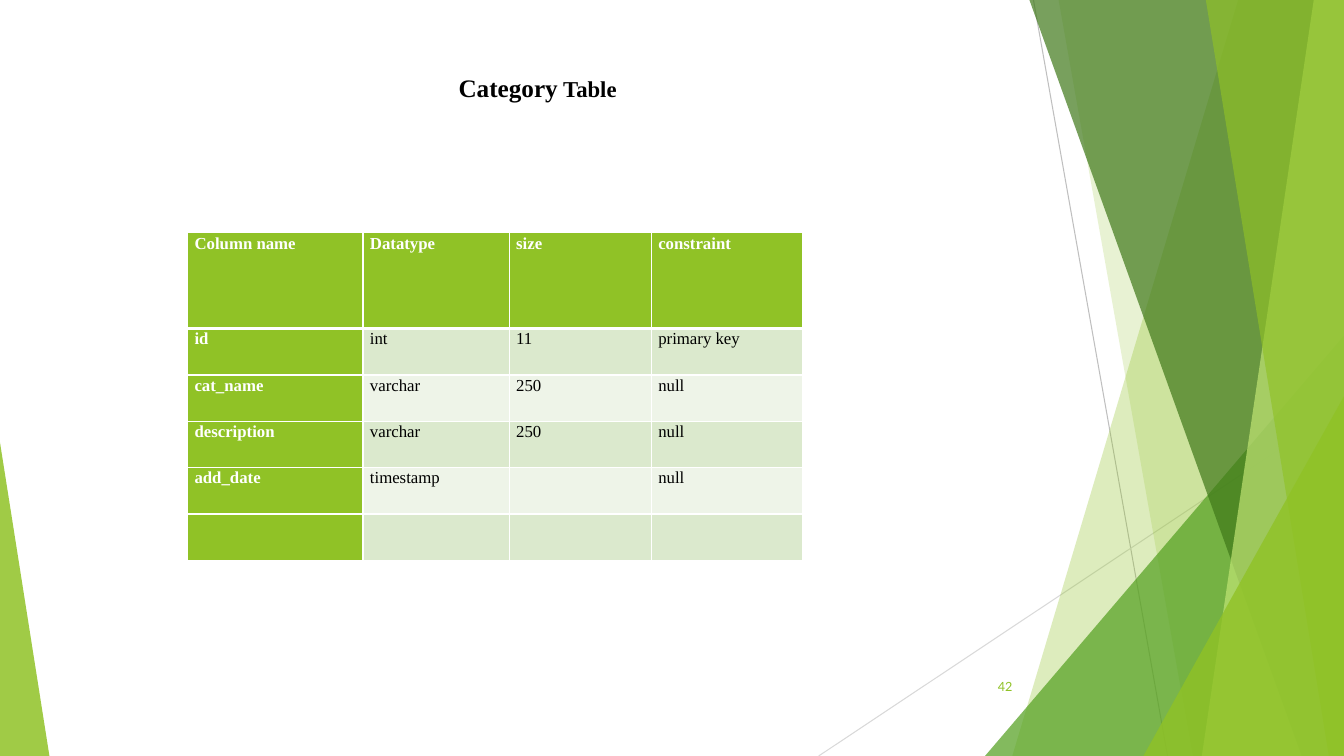
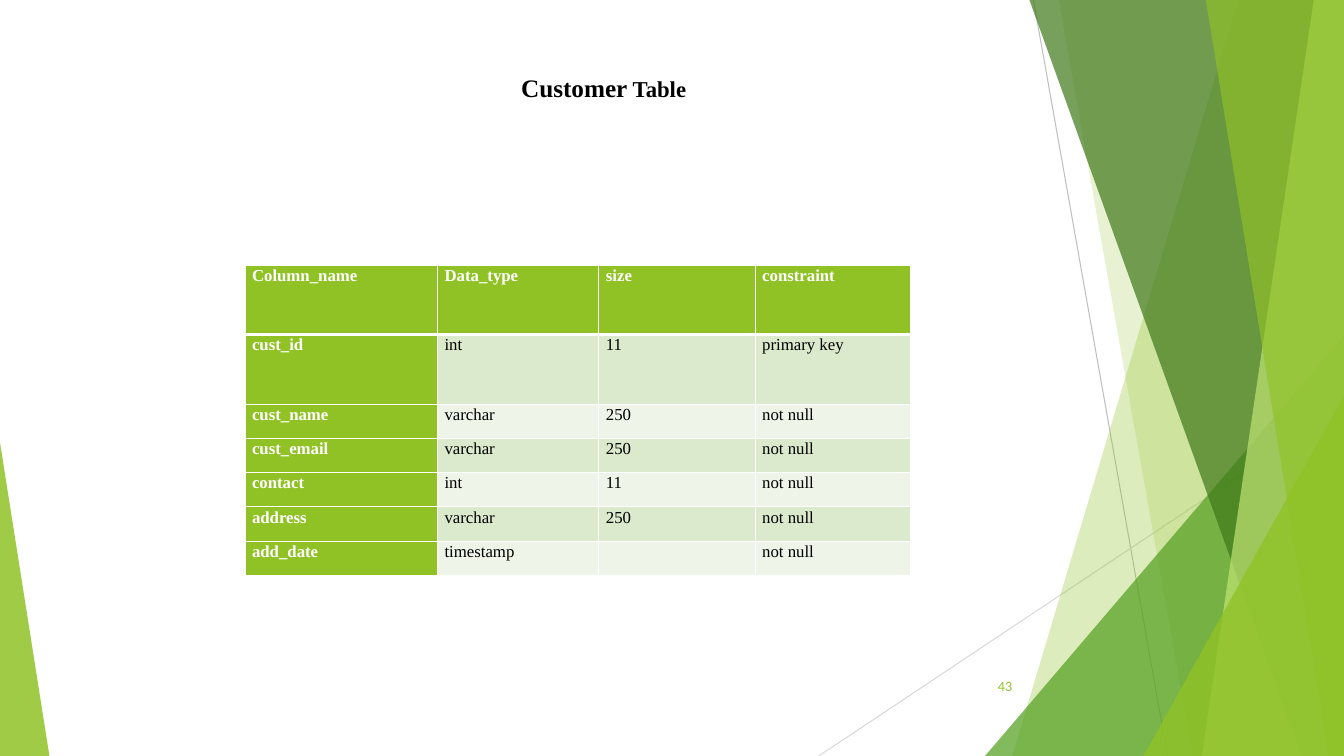
"""Build two database-table slides with a shared green faceted backdrop."""
from dataclasses import dataclass

from lxml.etree import SubElement
from pptx import Presentation
from pptx.dml.color import RGBColor
from pptx.enum.shapes import MSO_CONNECTOR, MSO_SHAPE
from pptx.enum.text import MSO_ANCHOR, PP_ALIGN
from pptx.oxml.ns import qn
from pptx.util import Inches, Pt


@dataclass(frozen=True)
class Theme:
    green: str = "90C226"
    mid_green: str = "54A021"
    dark_green: str = "3F7819"
    lime: str = "C0E474"
    row_tints: tuple = ("DBE9CD", "EEF4E8")
    white: str = "FFFFFF"
    black: str = "000000"
    serif: str = "Times New Roman"
    sans: str = "Lato"
    name_size: float = 18
    title_size: float = 16.2
    cell_size: float = 12
    number_size: float = 9
    border: float = 1
    header_border: float = 3


T = Theme()
WIDTH, HEIGHT = 13.33, 7.5

SLIDES = [
    {
        "name": "Category", "number": 42, "title_indent": 3.71,
        "at": (1.86, 2.31),
        "cols": (1.74, 1.45, 1.41, 1.5),
        "heights": (0.95, 0.46, 0.46, 0.46, 0.46, 0.46),
        "rows": [
            ("Column name", "Datatype", "size", "constraint"),
            ("id", "int", "11", "primary key"),
            ("cat_name", "varchar", "250", "null"),
            ("description", "varchar", "250", "null"),
            ("add_date", "timestamp", "", "null"),
            ("", "", "", ""),
        ],
    },
    {
        "name": "Customer", "number": 43, "title_indent": 4.33,
        "at": (2.43, 2.63),
        "cols": (1.91, 1.6, 1.55, 1.54),
        "heights": (0.69, 0.69, 0.34, 0.34, 0.34, 0.34, 0.34),
        "rows": [
            ("Column_name", "Data_type", "size", "constraint"),
            ("cust_id", "int", "11", "primary key"),
            ("cust_name", "varchar", "250", "not null"),
            ("cust_email", "varchar", "250", "not null"),
            ("contact", "int", "11", "not null"),
            ("address", "varchar", "250", "not null"),
            ("add_date", "timestamp", "", "not null"),
        ],
    },
]

RULES = [
    ((10.25, 0), (11.58, HEIGHT), "BFBFBF"),
    ((WIDTH, 4.03), (8.12, HEIGHT), "D9D9D9"),
]
FACETS = [
    ("band", (12.28, 10.04), T.green, 30),
    ("band", (10.5, 11.83), T.green, 20),
    ("triangle", (9.77, 3.33, 3.56, 1), T.mid_green, 72),
    ("band", (10.21, 12.91), T.dark_green, 70),
    ("band", (13.03, 11.92), T.lime, 70),
    ("band", (11.96, 13.18), T.green, 65),
    ("triangle", (11.34, 3.93, 1.99, 1), T.green, 80),
    ("triangle", (0, 4.39, 0.49, 0), T.green, 85),
]


def rgb(color):
    return RGBColor.from_string(color)


def set_font(font, name, size, color, bold=False):
    font.name, font.size, font.bold = name, Pt(size), bold
    font.color.rgb = rgb(color)


def add_rule(s, start, end, color):
    points = [Inches(v) for v in (*start, *end)]
    line = s.shapes.add_connector(MSO_CONNECTOR.STRAIGHT, *points)
    line.line.color.rgb = rgb(color)
    line.line.width = Pt(0.75)
    SubElement(line.element.spPr, qn("a:effectLst"))
    return line


def add_band(s, top, bottom):
    builder = s.shapes.build_freeform(Inches(top), 0)
    corners = [(WIDTH, 0), (WIDTH, HEIGHT), (bottom, HEIGHT)]
    builder.add_line_segments([(Inches(x), Inches(y)) for x, y in corners])
    return builder.convert_to_shape()


def add_triangle(s, left, top, width, apex):
    box = [Inches(v) for v in (left, top, width, HEIGHT - top)]
    sp = s.shapes.add_shape(MSO_SHAPE.ISOSCELES_TRIANGLE, *box)
    sp.adjustments[0] = apex
    return sp


def add_facet(s, kind, geometry, color, opacity):
    sp = {"band": add_band, "triangle": add_triangle}[kind](s, *geometry)
    sp.shadow.inherit = False
    sp.fill.solid()
    sp.fill.fore_color.rgb = rgb(color)
    sp.line.fill.background()
    clr = sp.element.spPr.find(qn("a:solidFill"))[0]
    SubElement(clr, qn("a:alpha"), val=str(opacity * 1000))
    return sp


def move_backdrop_to_layout(s, layout):
    for ph in list(layout.placeholders):
        layout.shapes.element.remove(ph.element)
    parts = [add_rule(s, *rule) for rule in RULES]
    parts += [add_facet(s, *facet) for facet in FACETS]
    for sp in parts:
        layout.shapes.element.append(sp.element)


def add_text_box(s, left, top, width, height):
    tf = s.shapes.add_textbox(*[Inches(v) for v in (left, top, width, height)]).text_frame
    tf.word_wrap = True
    return tf


def add_title(s, name, indent):
    p = add_text_box(s, 0.74, 0.67, 9.4, 0.61).paragraphs[0]
    p._p.get_or_add_pPr().set("marL", str(Inches(indent)))
    for text, size in ((name, T.name_size), (" Table", T.title_size)):
        r = p.add_run()
        r.text = text
        set_font(r.font, T.serif, size, T.black, True)


def add_number(s, number):
    tf = add_text_box(s, 9.39, 6.61, 0.75, 0.4)
    tf.vertical_anchor = MSO_ANCHOR.MIDDLE
    p = tf.paragraphs[0]
    p.text, p.alignment = str(number), PP_ALIGN.RIGHT
    set_font(p.font, T.sans, T.number_size, T.green)


def set_borders(cell, top, bottom):
    tc_pr = cell._tc.get_or_add_tcPr()
    for side, width in (("L", T.border), ("R", T.border), ("T", top), ("B", bottom)):
        ln = SubElement(tc_pr, qn(f"a:ln{side}"), w=str(Pt(width)))
        fill = SubElement(ln, qn("a:solidFill"))
        SubElement(fill, qn("a:srgbClr"), val=T.white)


def style_cell(cell, text, row, col):
    heading = row == 0 or col == 0
    set_borders(cell,
                T.header_border if row == 1 else T.border,
                T.header_border if row == 0 else T.border)
    cell.fill.solid()
    cell.fill.fore_color.rgb = rgb(T.green if heading else T.row_tints[(row - 1) % 2])
    cell.margin_left = cell.margin_right = Inches(0.07)
    cell.margin_top = cell.margin_bottom = 0
    p = cell.text_frame.paragraphs[0]
    p.text, p.line_spacing, p.space_after = text, 1.07, Pt(8)
    set_font(p.font, T.serif, T.cell_size, T.white if heading else T.black, heading)


def add_schema(s, at, cols, heights, rows):
    box = [Inches(v) for v in (*at, sum(cols), sum(heights))]
    table = s.shapes.add_table(len(rows), len(cols), *box).table
    table.horz_banding = False
    for column, width in zip(table.columns, cols):
        column.width = Inches(width)
    for i, (height, texts) in enumerate(zip(heights, rows)):
        table.rows[i].height = Inches(height)
        for j, text in enumerate(texts):
            style_cell(table.cell(i, j), text, i, j)


def main():
    prs = Presentation()
    prs.slide_width, prs.slide_height = Inches(WIDTH), Inches(HEIGHT)
    layout = prs.slide_layouts[6]
    for i, data in enumerate(SLIDES):
        s = prs.slides.add_slide(layout)
        if i == 0:
            move_backdrop_to_layout(s, layout)
        add_title(s, data["name"], data["title_indent"])
        add_schema(s, data["at"], data["cols"], data["heights"], data["rows"])
        add_number(s, data["number"])
    prs.save("out.pptx")


if __name__ == "__main__":
    main()
